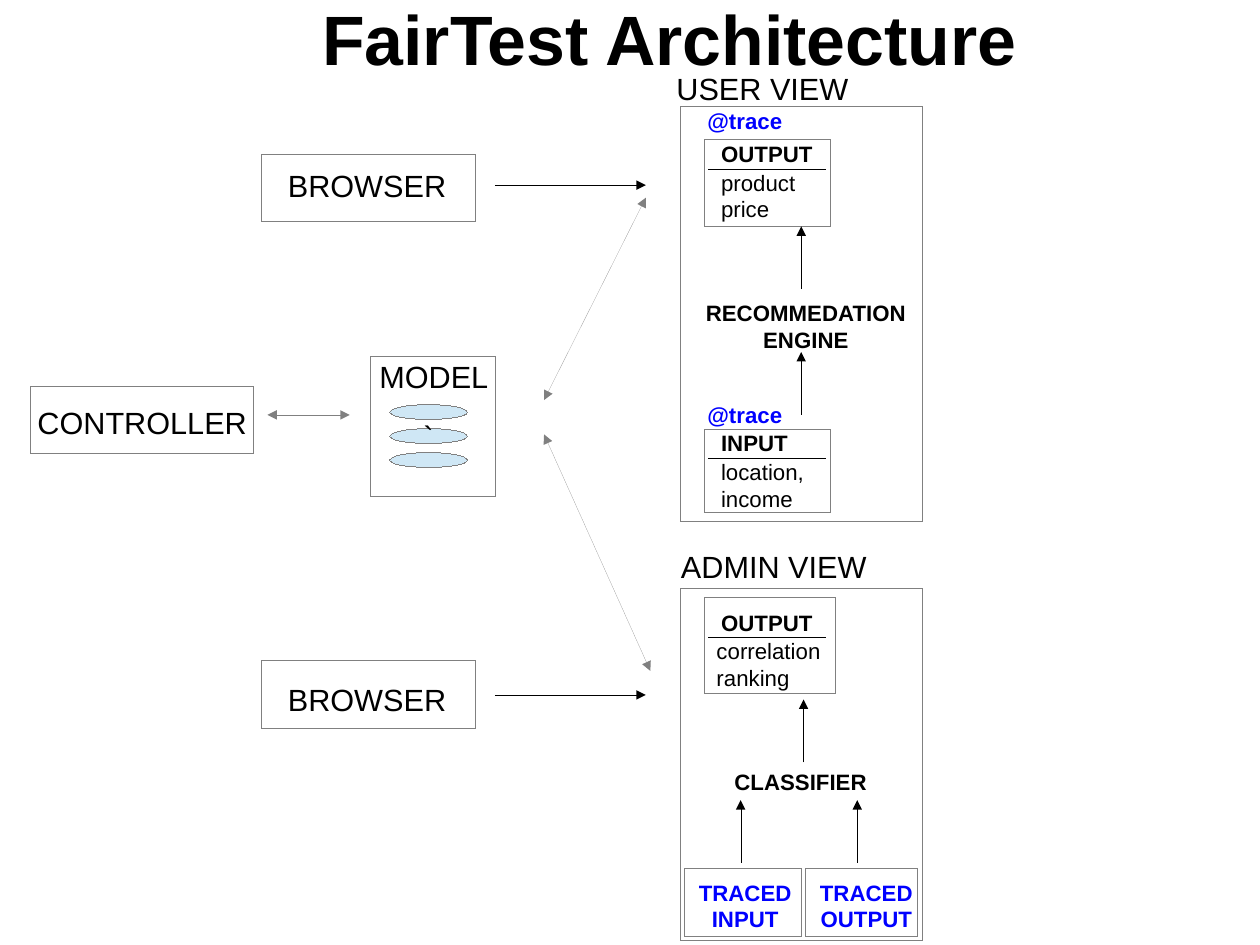
from lxml import etree
from pptx import Presentation
from pptx.dml.color import RGBColor
from pptx.enum.shapes import MSO_CONNECTOR, MSO_SHAPE
from pptx.enum.text import MSO_ANCHOR, PP_ALIGN
from pptx.oxml.ns import qn
from pptx.util import Inches, Pt

RECT, OVAL = MSO_SHAPE.RECTANGLE, MSO_SHAPE.OVAL
LINE = MSO_CONNECTOR.STRAIGHT
LEFT, MID = PP_ALIGN.LEFT, PP_ALIGN.CENTER
TOP, HALF = MSO_ANCHOR.TOP, MSO_ANCHOR.MIDDLE
COLORS = {"ink": "000000", "edge": "808080", "trace": "0000FF", "disk": "CFE7F5"}
FONT = "Arial"
SMALL, LARGE, HUGE = 14, 19.3, 44
HAIR = Pt(0.01)


def tint(name):
    """Return a named colour."""
    return RGBColor.from_string(COLORS[name])


def write(frame, text, size, color="ink", bold=False, align=LEFT, anchor=TOP, pad=0.05):
    """Fill a text frame and format its runs."""
    frame.text = text
    frame.vertical_anchor = anchor
    frame.margin_left = frame.margin_right = Inches(0.1)
    frame.margin_top = frame.margin_bottom = Inches(pad)
    for para in frame.paragraphs:
        para.alignment = align
        for run in para.runs:
            font = run.font
            font.name, font.size, font.bold = FONT, Pt(size), bold
            font.color.rgb = tint(color)


def note(slide, x, y, w, h, text, size=SMALL, **style):
    """Add a wrapped text box."""
    frame = slide.shapes.add_textbox(*map(Inches, (x, y, w, h))).text_frame
    frame.word_wrap = True
    write(frame, text, size, **style)


def block(slide, x, y, w, h, kind=RECT, fill=None):
    """Add a thinly outlined shape."""
    shape = slide.shapes.add_shape(kind, *map(Inches, (x, y, w, h)))
    shape.shadow.inherit = False
    if fill:
        shape.fill.solid()
        shape.fill.fore_color.rgb = tint(fill)
    else:
        shape.fill.background()
    shape.line.color.rgb = tint("edge")
    shape.line.width = HAIR
    return shape


def link(slide, x1, y1, x2, y2, color="ink", ends=("tailEnd",)):
    """Add a straight line with the given arrowheads."""
    line = slide.shapes.add_connector(LINE, *map(Inches, (x1, y1, x2, y2)))
    line.line.color.rgb = tint(color)
    line.line.width = HAIR
    props = line._element.spPr.find(qn("a:ln"))
    for end in ends:
        etree.SubElement(props, qn("a:" + end), type="triangle")
    etree.SubElement(line._element.spPr, qn("a:effectLst"))


def rise(slide, x, y):
    """Add an upward arrow whose tail is at the given point."""
    link(slide, x, y, x, y - 0.55)


def card(slide, x, y, w, h, head, body, drop, inset=0.05, trace=None):
    """Draw a card with a heading, a rule, body text and maybe a trace tag."""
    block(slide, x, y, w, h)
    note(slide, x + 0.05, y + drop, 1.08, 0.34, head, bold=True)
    note(slide, x + inset, y + drop + 0.25, w, 0.62, body)
    link(slide, x + 0.04, y + drop + 0.3, x + 1.06, y + drop + 0.3, ends=())
    if trace:
        note(slide, x - 0.07, y - trace, 1.1, 0.34, "@trace", color="trace", bold=True)


def user_view(slide, x, y, w, h):
    """Draw the user view, from input up to output."""
    note(slide, x - 0.13, y - 0.37, 2.06, 0.41, "USER VIEW", LARGE)
    block(slide, x, y, w, h)
    card(slide, x + 0.21, y + 0.29, 1.11, 0.76, "OUTPUT", "product price", -0.04, trace=0.33)
    card(slide, x + 0.21, y + 2.83, 1.11, 0.72, "INPUT", "location,\nincome", -0.05, trace=0.3)
    note(slide, x + 0.04, y + 1.64, w, 0.57, "RECOMMEDATION\nENGINE", bold=True, align=MID)
    for base in (1.6, 2.7):
        rise(slide, x + 1.06, y + base)


def admin_view(slide, x, y, w, h):
    """Draw the admin view, from traced data up to output."""
    note(slide, x - 0.09, y - 0.41, 2.06, 0.41, "ADMIN VIEW", LARGE)
    block(slide, x, y, w, h)
    card(slide, x + 0.21, y + 0.08, 1.15, 0.84, "OUTPUT", "correlation\nranking", 0.05, inset=0.01)
    rise(slide, x + 1.08, y + 1.52)
    note(slide, x + 0.32, y + 1.52, 1.47, 0.34, "CLASSIFIER", bold=True, align=MID)
    for left, wide, stem, kind in ((0.04, 1.02, 0.53, "INPUT"), (1.1, 0.98, 1.55, "OUTPUT")):
        block(slide, x + left, y + 2.45, wide, 0.59)
        note(slide, x + left - 0.04, y + 2.49, 1.14, 0.57, "TRACED\n" + kind,
             color="trace", bold=True, align=MID)
        rise(slide, x + stem, y + 2.4)


def browser(slide, x, y, w, h, drop, reach):
    """Draw a browser box and the arrow leaving it."""
    block(slide, x, y, w, h)
    note(slide, x + 0.13, y + drop, 1.61, 0.46, "BROWSER", LARGE)
    link(slide, x + 2.04, y + reach, x + 3.36, y + reach)


def model(slide, x, y, w, h):
    """Draw the model box with its stack of disks."""
    block(slide, x, y, w, h)
    note(slide, x - 0.02, y - 0.04, 1.17, 0.46, "MODEL", LARGE)
    disks = [block(slide, x + 0.17, y + 0.42 + 0.21 * row, 0.68, 0.13, OVAL, "disk")
             for row in range(3)]
    frame = disks[1].text_frame
    frame.word_wrap = False
    write(frame, "`", LARGE, align=MID, anchor=HALF, pad=0.04)


def control(slide, x, y, w, h):
    """Draw the controller box."""
    block(slide, x, y, w, h)
    note(slide, x - 0.04, y + 0.1, 2.06, 0.41, "CONTROLLER", LARGE)


def main():
    """Build the slide and save it."""
    deck = Presentation()
    deck.slide_width, deck.slide_height = Inches(28 / 2.54), Inches(21 / 2.54)
    slide = deck.slides.add_slide(deck.slide_layouts[6])
    note(slide, 2.72, -0.09, 6.85, 0.78, "FairTest Architecture", HUGE, bold=True)
    user_view(slide, 5.95, 0.93, 2.12, 3.63)
    admin_view(slide, 5.95, 5.15, 2.12, 3.08)
    browser(slide, 2.29, 1.35, 1.87, 0.59, 0.06, 0.27)
    browser(slide, 2.29, 5.78, 1.87, 0.59, 0.13, 0.3)
    control(slide, 0.27, 3.38, 1.95, 0.59)
    model(slide, 3.24, 3.12, 1.1, 1.22)
    for path_ends in ((2.34, 3.63, 3.06, 3.63), (4.76, 3.5, 5.65, 1.73), (4.76, 3.8, 5.69, 5.87)):
        link(slide, *path_ends, color="edge", ends=("headEnd", "tailEnd"))
    deck.save("out.pptx")


if __name__ == "__main__":
    main()
